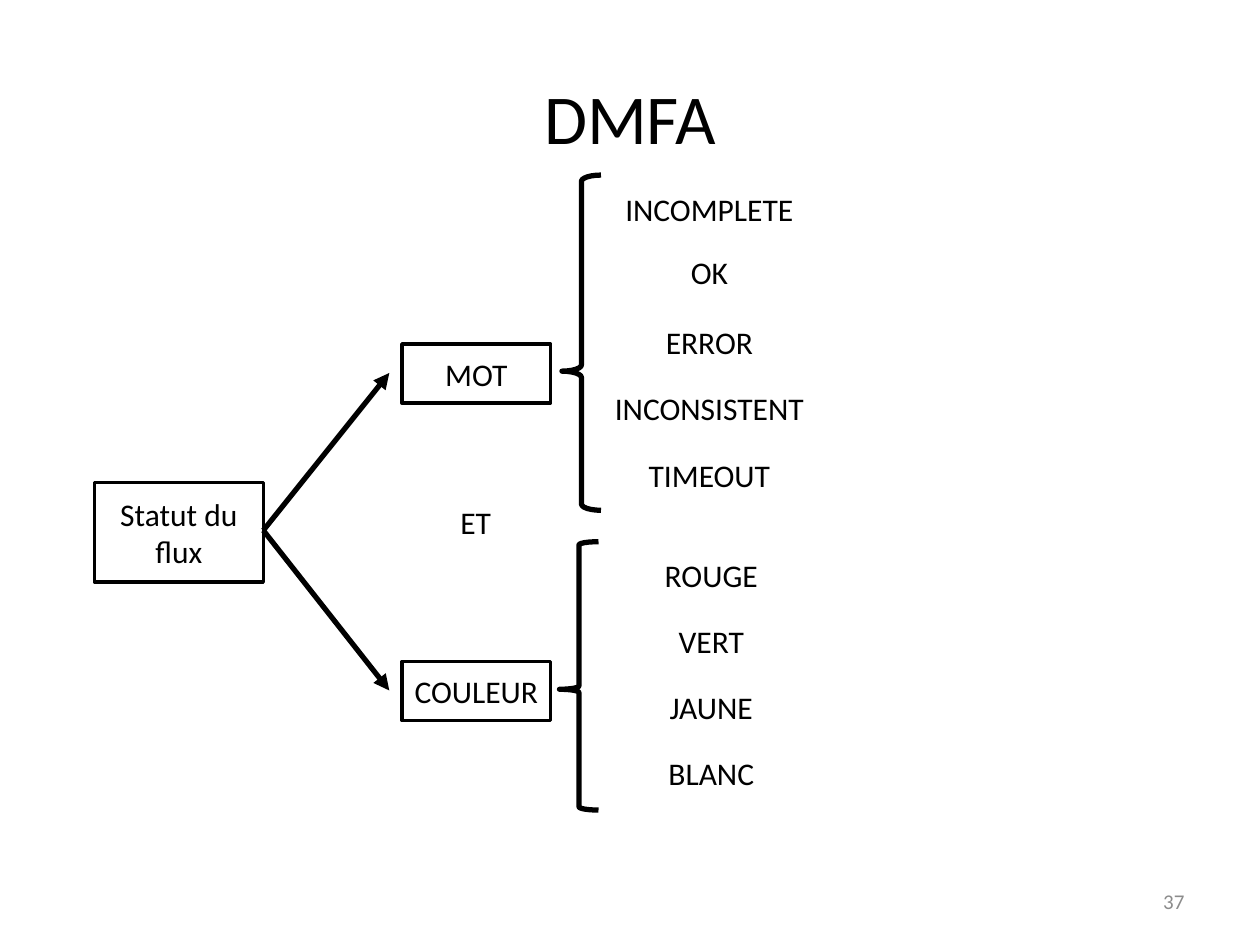
from pptx import Presentation
from pptx.dml.color import RGBColor as Rgb
from pptx.enum.shapes import MSO_CONNECTOR as Conn, MSO_SHAPE as Form
from pptx.enum.text import MSO_ANCHOR as Anchor, PP_ALIGN as Align
from pptx.oxml.ns import qn
from pptx.util import Inches, Pt
from lxml.etree import SubElement

HUES = {"ink": "000000", "page": "8C8C8C"}
WIDE, HIGH = Inches(10), Inches(7.5)
PAD = Inches(0.05)


def hue(name):
    return Rgb.from_string(HUES[name])


def across(share):
    return int(WIDE * share / 100)


def down(share):
    return int(HIGH * share / 100)


def area(x, y, w, h):
    return across(x), down(y), across(w), down(h)


def write(shape, text, size=18, tone="ink", align=Align.CENTER):
    frame = shape.text_frame
    frame.word_wrap = True
    frame.vertical_anchor = Anchor.MIDDLE
    frame.margin_left = frame.margin_right = PAD
    frame.margin_top = frame.margin_bottom = 0
    para = frame.paragraphs[0]
    para.text = text
    para.alignment = align
    para.font.name = "Calibri"
    para.font.size = Pt(size)
    para.font.color.rgb = hue(tone)


def label(slide, text, *spot, **style):
    write(slide.shapes.add_textbox(*area(*spot)), text, **style)


def outline(slide, form, width, *spot):
    shape = slide.shapes.add_shape(form, *area(*spot))
    shape.shadow.inherit = False
    shape.fill.background()
    shape.line.color.rgb = hue("ink")
    shape.line.width = Pt(width)
    return shape


def box(slide, text, *spot):
    write(outline(slide, Form.RECTANGLE, 2, *spot), text)


def brace(slide, curl, tip, *spot):
    shape = outline(slide, Form.LEFT_BRACE, 3, *spot)
    shape.adjustments[0] = curl
    shape.adjustments[1] = tip


def arrow(slide, x, y, to_x, to_y):
    line = slide.shapes.add_connector(
        Conn.STRAIGHT, across(x), down(y), across(to_x), down(to_y))
    line.line.color.rgb = hue("ink")
    line.line.width = Pt(3)
    SubElement(line.line._get_or_add_ln(), qn("a:tailEnd"), type="triangle")
    SubElement(line._element.spPr, qn("a:effectLst"))


def column(slide, words, x, tops, w):
    for word, top in zip(words, tops):
        label(slide, word, x, top, w, 5.6)


def main():
    deck = Presentation()
    deck.slide_width, deck.slide_height = WIDE, HIGH
    slide = deck.slides.add_slide(deck.slide_layouts[6])

    label(slide, "DMFA", 5, 4, 90, 16.67, size=40)
    label(slide, "37", 71.7, 92.67, 22.8, 5.33,
          size=12, tone="page", align=Align.RIGHT)

    box(slide, "Statut du flux", 7.5, 51.07, 13.4, 10.53)
    for text, top, tip in (("MOT", 36.4, 39.47), ("COULEUR", 70, 73.07)):
        arrow(slide, 20.9, 56.13, 30.9, tip)
        box(slide, text, 31.9, top, 11.8, 6.27)
    label(slide, "ET", 35, 52.13, 5.5, 6.27)

    brace(slide, 0.16, 0.585, 44.6, 18.53, 3.1, 35.47)
    brace(slide, 0.083, 0.55, 44.4, 57.33, 3.1, 28.4)
    column(slide, ("INCOMPLETE", "OK", "ERROR", "INCONSISTENT", "TIMEOUT"),
           47.55, (19.33, 26, 33.33, 40.4, 47.47), 17.5)
    column(slide, ("ROUGE", "VERT", "JAUNE", "BLANC"),
           47.85, [58 + 6.98 * row for row in range(4)], 17.2)
    deck.save("out.pptx")


if __name__ == "__main__":
    main()
